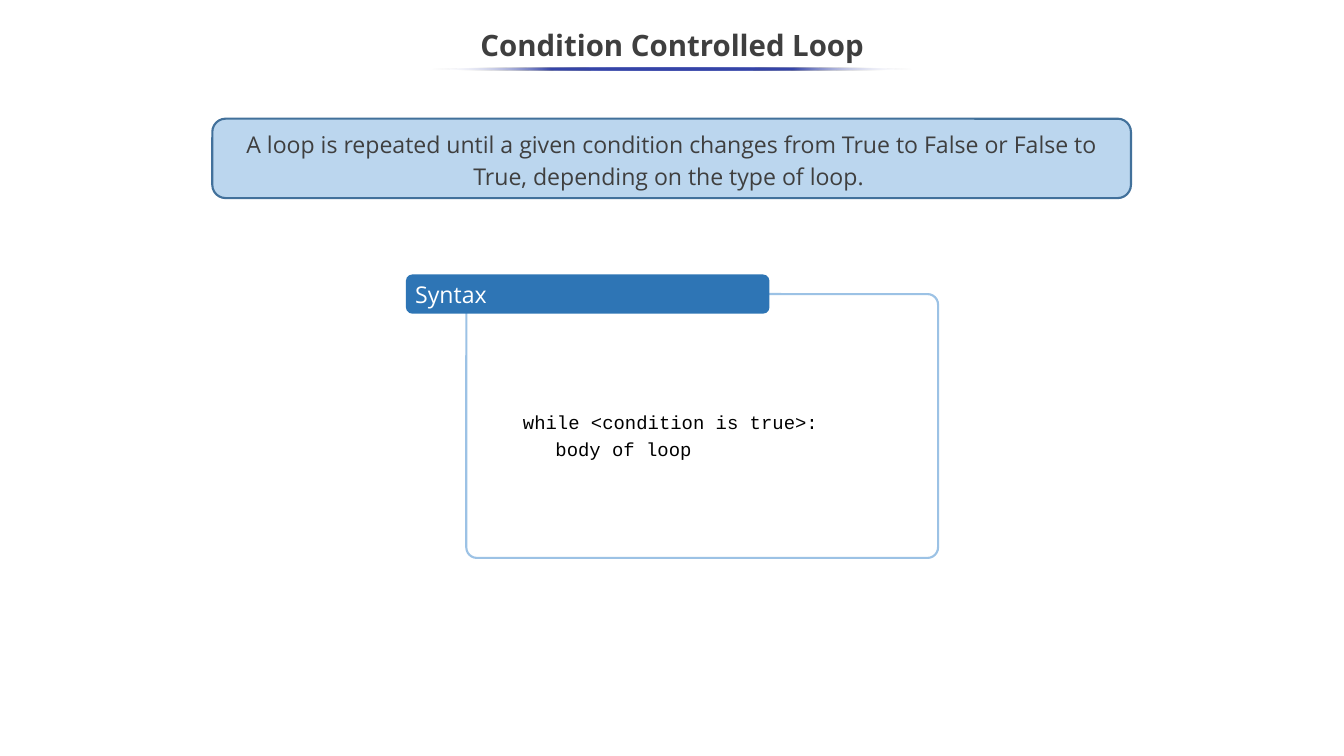
import pptx
import pptx.dml.color
import pptx.enum.shapes
import pptx.enum.text
import pptx.oxml
import pptx.oxml.ns
import pptx.util

RGBColor = pptx.dml.color.RGBColor
MSO_SHAPE = pptx.enum.shapes.MSO_SHAPE
PP_ALIGN = pptx.enum.text.PP_ALIGN
Pt = pptx.util.Pt

WIDTH, HEIGHT = pptx.util.Inches(17.78), pptx.util.Inches(10)
INK = RGBColor(0x3F, 0x3F, 0x3F)
BLACK = RGBColor(0, 0, 0)
WHITE = RGBColor(0xFF, 0xFF, 0xFF)
PALE_BLUE = RGBColor(0xBB, 0xD6, 0xEE)
STEEL_BLUE = RGBColor(0x42, 0x71, 0x9B)
FRAME_BLUE = RGBColor(0x9C, 0xC2, 0xE5)
TAB_BLUE = RGBColor(0x2E, 0x75, 0xB5)
INDIGO = RGBColor(0x36, 0x45, 0xA9)
BODY_FONT, CODE_FONT = "Open Sans", "Courier New"


def share(box, left, top, width, height):
    """Return the part of box that is given in percent of its size."""
    x, y, w, h = box
    return (round(x + w * left / 100), round(y + h * top / 100),
            round(w * width / 100), round(h * height / 100))


def add_panel(shapes, box, kind=MSO_SHAPE.ROUNDED_RECTANGLE, corner=None,
              fill=None, line=None):
    panel = shapes.add_shape(kind, *box)
    panel.shadow.inherit = False
    if corner is not None:
        panel.adjustments[0] = corner
    if fill is None:
        panel.fill.background()
    else:
        panel.fill.solid()
        panel.fill.fore_color.rgb = fill
    if line is None:
        panel.line.fill.background()
    else:
        panel.line.color.rgb = line
        panel.line.width = Pt(2)
    return panel


def write(shape, lines, size, color, font=BODY_FONT, bold=False,
          align=PP_ALIGN.LEFT, spacing=1.0):
    frame = shape.text_frame
    frame.word_wrap = True
    frame.vertical_anchor = pptx.enum.text.MSO_ANCHOR.MIDDLE
    frame.text = "\n".join(lines)
    for paragraph in frame.paragraphs:
        paragraph.alignment = align
        paragraph.line_spacing = spacing
        paragraph.font.name = font
        paragraph.font.size = Pt(size)
        paragraph.font.bold = bold
        paragraph.font.color.rgb = color
    return frame.paragraphs


def fade_ends(shape, color):
    """Fill the shape with a colour that turns to clear white at both ends."""
    stops = "".join(
        f'<a:gs pos="{position * 1000}"><a:srgbClr val="{tint}">'
        f'<a:alpha val="{alpha * 1000}"/></a:srgbClr></a:gs>'
        for position, tint, alpha in (
            (0, WHITE, 0), (25, color, 100), (50, color, 100),
            (75, color, 100), (100, WHITE, 0)))
    gradient = pptx.oxml.parse_xml(
        f'<a:gradFill {pptx.oxml.ns.nsdecls("a")}><a:gsLst>{stops}</a:gsLst>'
        '<a:lin ang="10800000" scaled="0"/></a:gradFill>')
    properties = shape.element.spPr
    properties.replace(properties.find(pptx.oxml.ns.qn("a:noFill")), gradient)


def add_heading(shapes, box):
    title = shapes.add_textbox(*share(box, 0, 0, 100, 100))
    write(title, ["Condition Controlled Loop"], 28, INK, bold=True,
          align=PP_ALIGN.CENTER, spacing=0.9)
    underline = add_panel(shapes, share(box, 32.1, 85.33, 35.8, 5.33),
                          MSO_SHAPE.OVAL)
    fade_ends(underline, INDIGO)


def add_definition(shapes, box):
    definition = add_panel(shapes, box, fill=PALE_BLUE, line=STEEL_BLUE)
    write(definition, ["A loop is repeated until a given condition changes from "
                       "True to False or False to True, depending on the type "
                       "of loop. "],
          22, INK, align=PP_ALIGN.CENTER, spacing=1.15)


def add_syntax(shapes, box):
    card = shapes.add_group_shape().shapes
    add_panel(card, share(box, 11.36, 6.93, 88.64, 93.07), corner=0.04,
              line=FRAME_BLUE)
    tab = add_panel(card, share(box, 0, 0, 68.32, 13.87), fill=TAB_BLUE)
    write(tab, ["Syntax"], 22, WHITE)

    code = shapes.add_textbox(*share(box, 19.6, 31.73, 63.35, 48.8))
    code_lines = write(code, ["while <condition is true>:", "body of loop"],
                       18, BLACK, CODE_FONT, spacing=Pt(25.5))
    for line, indent in zip(code_lines, (0.07, 0.5)):
        line._p.get_or_add_pPr().set("marL", str(pptx.util.Inches(indent)))


def main():
    deck = pptx.Presentation()
    deck.slide_width, deck.slide_height = WIDTH, HEIGHT
    shapes = deck.slides.add_slide(deck.slide_layouts[6]).shapes
    page = (0, 0, WIDTH, HEIGHT)
    add_heading(shapes, share(page, 0, 2.5, 100, 7.5))
    add_definition(shapes, share(page, 15.8, 15.7, 68.35, 10.5))
    add_syntax(shapes, share(page, 30.2, 36.3, 39.6, 37.5))
    deck.save("out.pptx")


if __name__ == "__main__":
    main()
